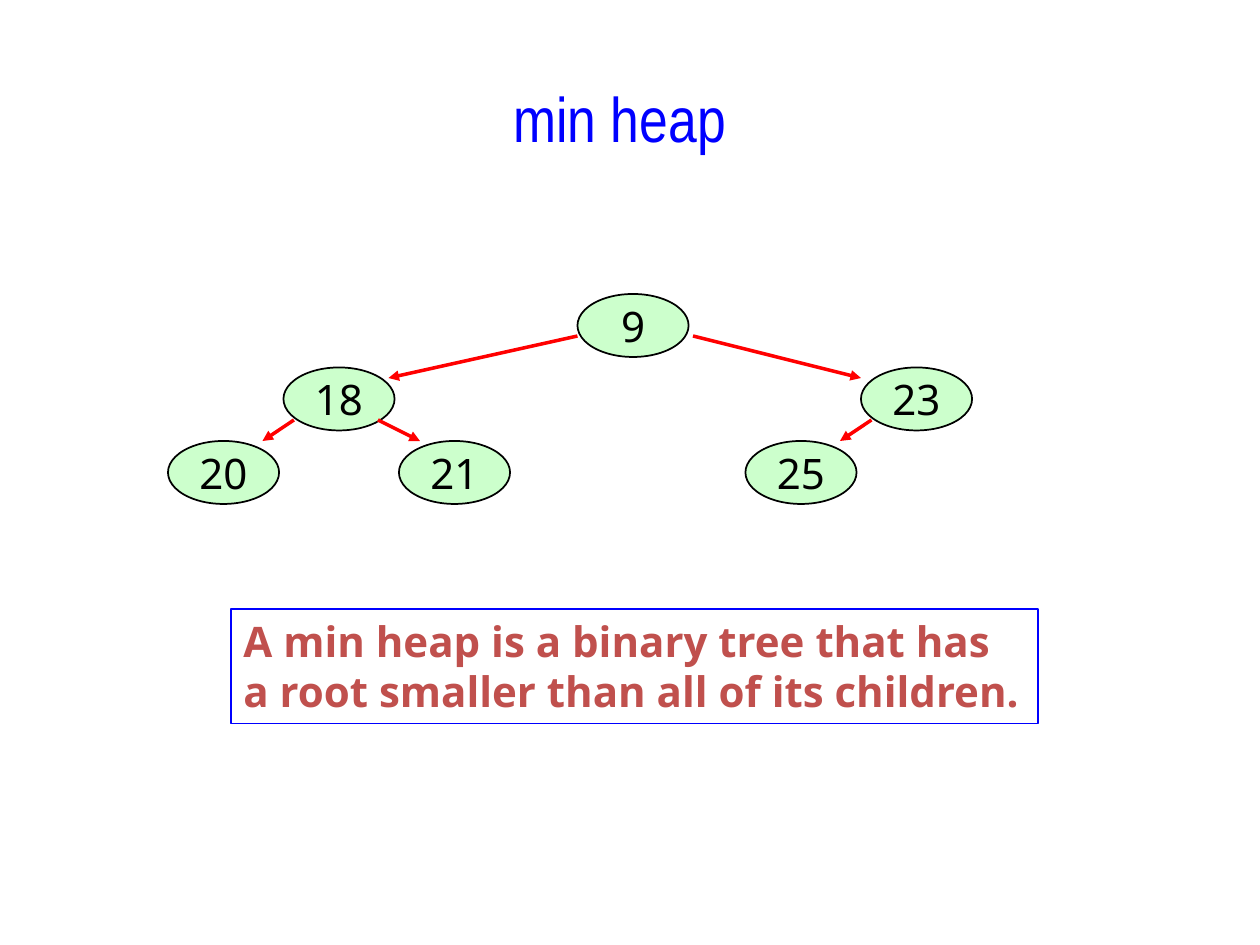
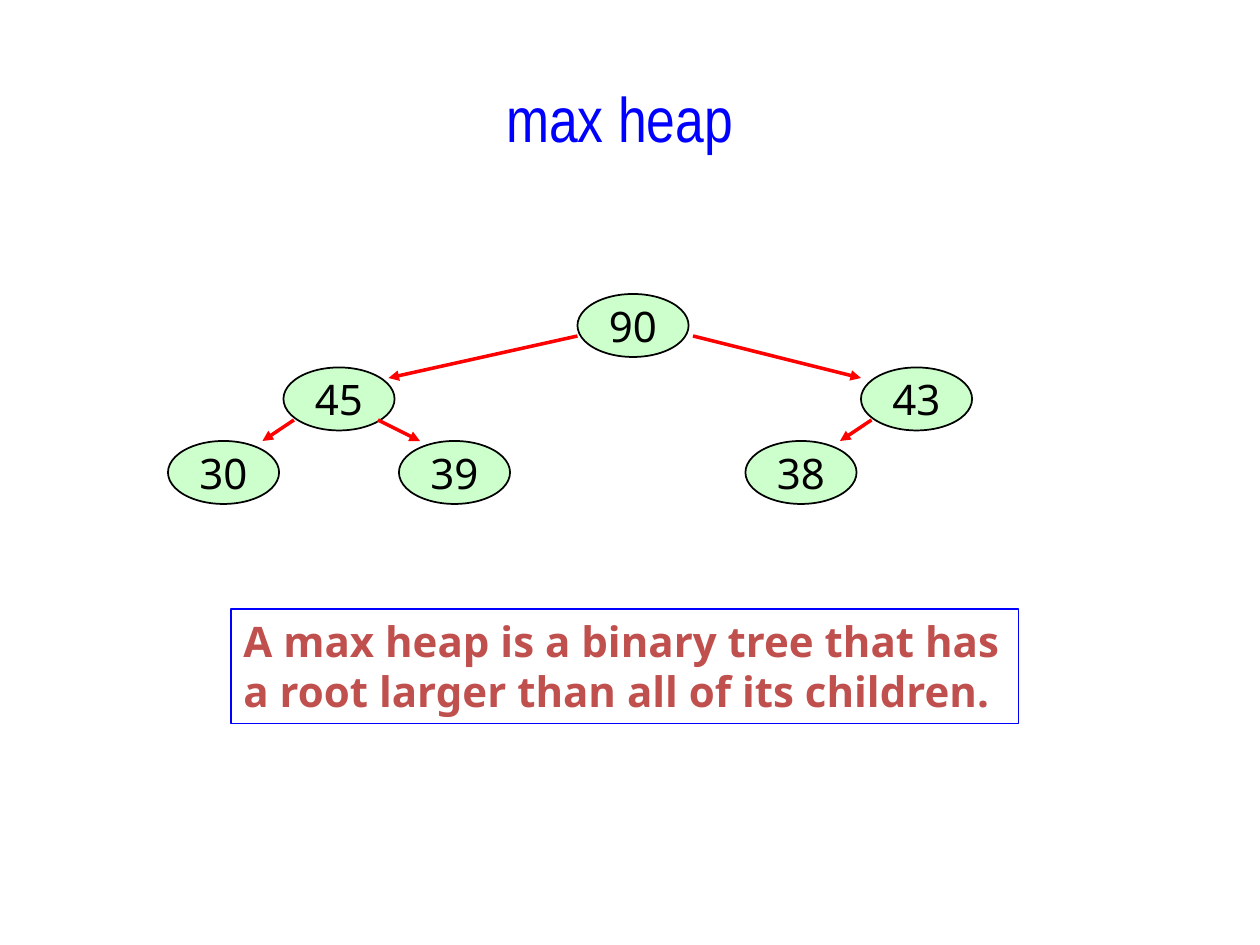
from dataclasses import dataclass
from pptx import Presentation
from pptx.dml.color import RGBColor as Color
from pptx.enum.shapes import MSO_CONNECTOR as Connector, MSO_SHAPE as Shape
from pptx.enum.text import MSO_ANCHOR as Anchor, MSO_AUTO_SIZE as AutoSize, PP_ALIGN as Align
from pptx.oxml import parse_xml
from pptx.oxml.ns import nsdecls
from pptx.util import Pt


@dataclass(frozen=True)
class Theme:
    title_font: str = "Arial Narrow"
    body_font: str = "Noto Sans"
    title_size: int = 36
    body_size: int = 24
    blue: str = "0000FF"
    title_outline: str = "FFFF00"
    node_fill: str = "CCFFCC"
    black: str = "000000"
    arrow: str = "FF0000"
    definition: str = "C0504D"


THEME = Theme()
NODE_WIDTH, NODE_HEIGHT = 63.5, 36
ROOT_LEFT, ROOT_TOP = 330, 168
LEVEL_STEP, LEAF_STEP = 42, 66
LEFT_CHILD, RIGHT_CHILD = ROOT_LEFT - 168, ROOT_LEFT + 162

NODE_PLACES = [
    (ROOT_LEFT, 0),
    (LEFT_CHILD, 1),
    (RIGHT_CHILD, 1),
    (LEFT_CHILD - LEAF_STEP, 2),
    (LEFT_CHILD + LEAF_STEP, 2),
    (RIGHT_CHILD - LEAF_STEP, 2),
]
ARROWS = [
    ((330, 192), (222, 216)),
    ((396, 192), (492, 216)),
    ((168, 240), (150, 252)),
    ((498, 240), (480, 252)),
    ((216, 240), (240, 252)),
]
HEAPS = [
    ("min heap", (9, 18, 23, 20, 21, 25), 461,
     ("A min heap is a binary tree that has", "a root smaller than all of its children.")),
    ("max heap", (90, 45, 43, 30, 39, 38), 450,
     ("A max heap is a binary tree that has", "a root larger than all of its children.")),
]


def write_lines(box, lines, font, size, color, align, anchor, bold=False):
    frame = box.text_frame
    frame.word_wrap = False
    frame.vertical_anchor = anchor
    for index, line in enumerate(lines):
        para = frame.add_paragraph() if index else frame.paragraphs[0]
        para.alignment = align
        span = para.add_run()
        span.text = line
        span.font.name = font
        span.font.size = Pt(size)
        span.font.bold = bold
        span.font.color.rgb = Color.from_string(color)


def set_line(item, color, width):
    item.line.color.rgb = Color.from_string(color)
    item.line.width = Pt(width)


def add_title(page, text):
    box = page.shapes.add_textbox(Pt(108), Pt(42), Pt(492), Pt(66))
    write_lines(box, [text], THEME.title_font, THEME.title_size, THEME.blue,
                Align.CENTER, Anchor.TOP)
    span = box.text_frame.paragraphs[0].runs[0]
    outline = parse_xml(
        f'<a:ln {nsdecls("a")} w="{Pt(0.75)}"><a:solidFill>'
        f'<a:srgbClr val="{THEME.title_outline}"/></a:solidFill></a:ln>')
    span.font._element.insert(0, outline)


def add_definition(page, lines, width):
    box = page.shapes.add_shape(Shape.RECTANGLE, Pt(132), Pt(348), Pt(width), Pt(65.5))
    box.shadow.inherit = False
    box.fill.background()
    set_line(box, THEME.blue, 1)
    write_lines(box, lines, THEME.body_font, THEME.body_size, THEME.definition,
                Align.LEFT, Anchor.TOP, bold=True)
    box.text_frame.auto_size = AutoSize.SHAPE_TO_FIT_TEXT


def add_node(page, value, left, level):
    node = page.shapes.add_shape(Shape.OVAL, Pt(left), Pt(ROOT_TOP + level * LEVEL_STEP),
                                 Pt(NODE_WIDTH), Pt(NODE_HEIGHT))
    node.shadow.inherit = False
    node.fill.solid()
    node.fill.fore_color.rgb = Color.from_string(THEME.node_fill)
    set_line(node, THEME.black, 1)
    write_lines(node, [str(value)], THEME.body_font, THEME.body_size, THEME.black,
                Align.CENTER, Anchor.MIDDLE)


def add_arrow(page, start, end):
    arrow = page.shapes.add_connector(Connector.STRAIGHT, *map(Pt, start + end))
    set_line(arrow, THEME.arrow, 2)
    arrow.line._get_or_add_ln().append(
        parse_xml(f'<a:tailEnd {nsdecls("a")} type="triangle"/>'))
    arrow._element.spPr.append(parse_xml(f'<a:effectLst {nsdecls("a")}/>'))


def add_heap_page(deck, title, values, width, definition):
    page = deck.slides.add_slide(deck.slide_layouts[6])
    add_title(page, title)
    add_definition(page, definition, width)
    for value, (left, level) in zip(values, NODE_PLACES):
        add_node(page, value, left, level)
    for start, end in ARROWS:
        add_arrow(page, start, end)


def main():
    deck = Presentation()
    deck.slide_width, deck.slide_height = Pt(720), Pt(540)
    for heap in HEAPS:
        add_heap_page(deck, *heap)
    deck.save("out.pptx")


main()
